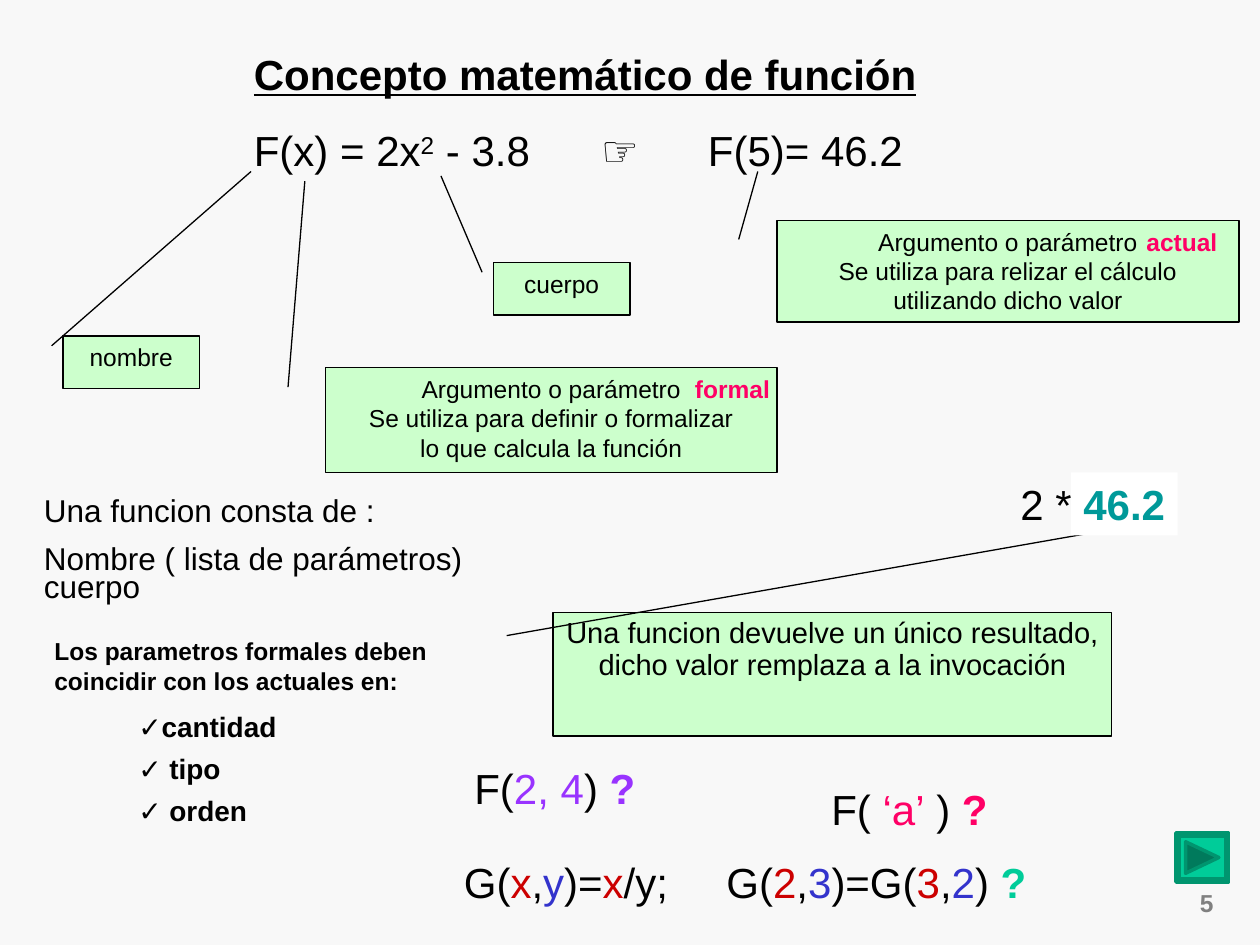
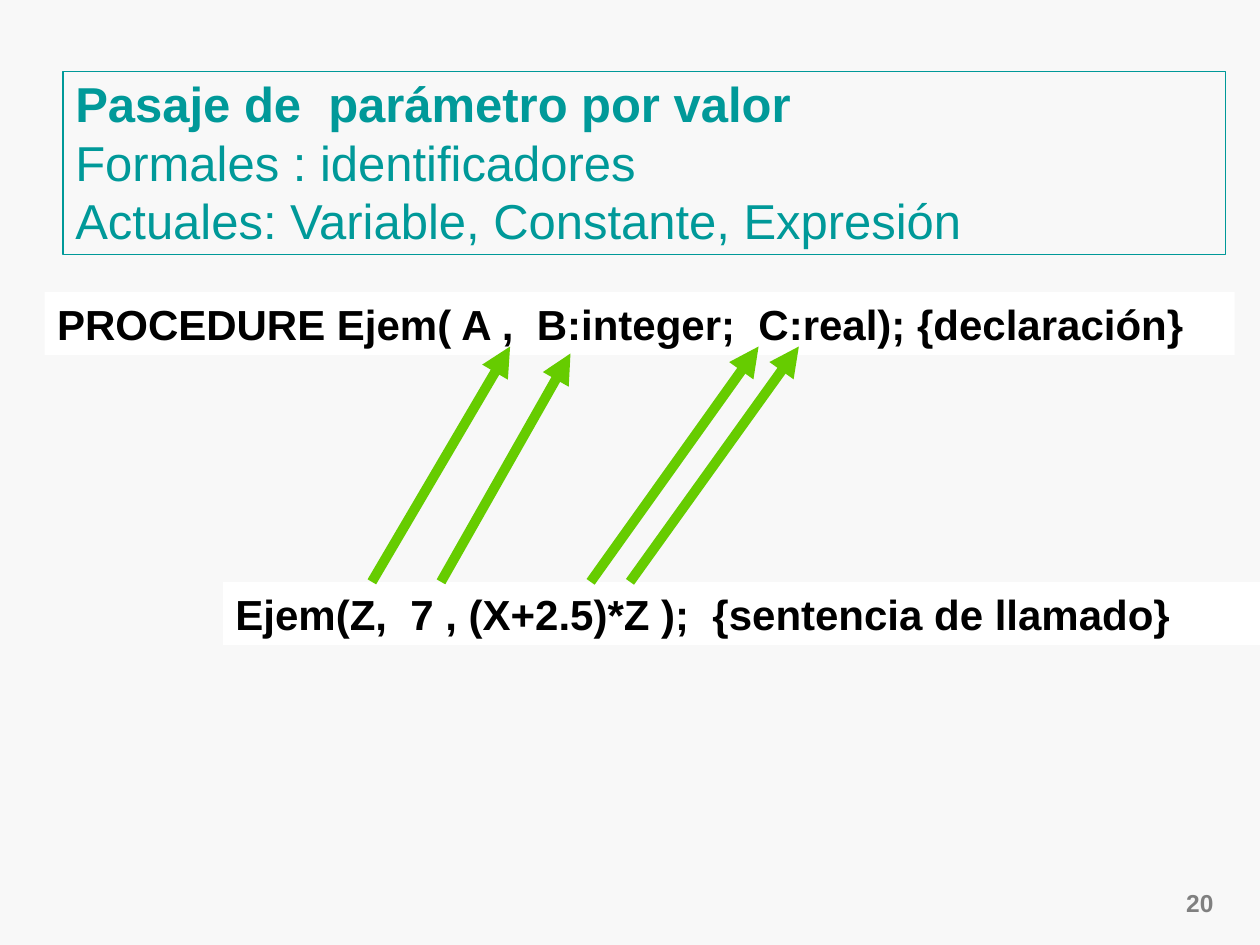
from lxml import etree
from pptx import Presentation
from pptx.dml.color import RGBColor
from pptx.enum import shapes, text
from pptx.oxml.ns import qn
from pptx.util import Pt

FONT = "Arial"
BACKGROUND = RGBColor(0xF8, 0xF8, 0xF8)
BLACK = RGBColor(0, 0, 0)
WHITE = RGBColor(0xFF, 0xFF, 0xFF)
GRAY = RGBColor(0x80, 0x80, 0x80)
MINT = RGBColor(0xCC, 0xFF, 0xCC)
PINK = RGBColor(0xFF, 0, 0x66)
PURPLE = RGBColor(0x99, 0x33, 0xFF)
RED = RGBColor(0xCC, 0, 0)
BLUE = RGBColor(0x33, 0x33, 0xCC)
TEAL = RGBColor(0, 0x99, 0x99)
GREEN = RGBColor(0, 0xCC, 0x99)
DARK_GREEN = RGBColor(0, 0x95, 0x6F)
DEEP_GREEN = RGBColor(0, 0x7A, 0x5C)
ARROW_GREEN = RGBColor(0x66, 0xCC, 0)

CENTER, RIGHT = text.PP_ALIGN.CENTER, text.PP_ALIGN.RIGHT

# A paragraph is a string or a list of runs; a run is a string or (string, format).
X, Y = ("x", dict(color=RED)), ("y", dict(color=BLUE))
HEADING = [
    [("Concepto matemático de función", dict(bold=True, underline=True))],
    ["F(x) = 2x", ("2", dict(baseline=30000)), " - 3.8\t",
     ("☞", dict(bold=True)), "\tF(5)= 46.2"],
]
TWO_ARGUMENTS = [["F(", ("2, 4", dict(color=PURPLE)), ") ",
                  ("?", dict(color=PURPLE, bold=True))]]
CHARACTER_ARGUMENT = [["F( ", ("‘a’", dict(color=PINK)), " ) ",
                       ("?", dict(color=PINK, bold=True))]]
ARGUMENT_ORDER = [[
    "G(", X, ",", Y, ")=", X, "/y;\tG(",
    ("2", dict(color=RED)), ",", ("3", dict(color=BLUE)), ")=G(",
    ("3", dict(color=RED)), ",", ("2", dict(color=BLUE)), ") ",
    ("?", dict(color=GREEN, bold=True))]]
DEFINITION = ["Una funcion consta de :", "Nombre ( lista de parámetros) cuerpo"]
MATCH_RULE = ["Los parametros formales deben coincidir con los actuales en:"]
MATCH_ITEMS = ["✓cantidad", "✓ tipo", "✓ orden"]

# box (left, top, width, height), tip of the leader, paragraphs, format
CALLOUTS = [
    ((186, 210, 258, 60), (174.2, 103.5),
     ["Argumento o parámetro", "Se utiliza para definir o formalizar",
      "lo que calcula la función"], {}),
    ((444, 126, 264, 58), (433, 98),
     ["Argumento o parámetro",
      "Se utiliza para relizar el cálculo utilizando dicho valor"], {}),
    ((36, 192, 78, 30), (143.5, 98), ["nombre"], {}),
    ((282, 150, 78, 30), (252, 100.5), ["cuerpo"], {}),
    ((316, 350, 319, 70.5), (646.5, 300.5),
     ["Una funcion devuelve un único resultado, dicho valor remplaza a la invocación"],
     dict(size=16.6, line_spacing=0.9)),
]
PARAMETER_KINDS = [("actual", (648, 126, 60, 24.5)), ("formal", (390, 210, 60, 24.5))]

VALUE_PASSING = [
    [("Pasaje de  parámetro por valor", dict(bold=True))],
    "Formales : identificadores",
    "Actuales: Variable, Constante, Expresión",
]
CODE_LINES = [
    ("PROCEDURE Ejem( A ,  B:integer;  C:real); {declaración}", (25.5, 167, 680, 36)),
    ("Ejem(Z,  7 , (X+2.5)*Z );  {sentencia de llamado}", (127.5, 332.5, 592.5, 36)),
]
CALL_TOP = 332.5
# x in the call, then the arrow point in the declaration
ARROWS = [(212.5, (291.5, 198)), (252, (326, 202)),
          (337.5, (433.5, 198)), (360, (456.5, 198))]


def write(shape, paragraphs, size=24, color=BLACK, bold=False, underline=False,
          align=None, space_before=0, line_spacing=None, tabs=(), wrap=True,
          inset_top=3.6, anchor=text.MSO_ANCHOR.TOP):
    frame = shape.text_frame
    frame.word_wrap = wrap
    frame.vertical_anchor = anchor
    frame.margin_left = frame.margin_right = Pt(7.2)
    frame.margin_top, frame.margin_bottom = Pt(inset_top), Pt(3.6)
    for index, runs in enumerate(paragraphs):
        paragraph = frame.add_paragraph() if index else frame.paragraphs[0]
        paragraph.alignment = align
        paragraph.space_before = Pt(space_before if index else 0)
        paragraph.line_spacing = line_spacing
        if tabs:
            properties = paragraph._p.get_or_add_pPr()
            tab_list = etree.SubElement(properties, qn("a:tabLst"))
            for position in tabs:
                etree.SubElement(tab_list, qn("a:tab"), pos=str(Pt(position)), algn="l")
        for piece in [runs] if isinstance(runs, str) else runs:
            words, own = (piece, {}) if isinstance(piece, str) else piece
            run = paragraph.add_run()
            run.text = words
            font = run.font
            font.name, font.size = FONT, Pt(size)
            font.bold = own.get("bold", bold)
            font.underline = own.get("underline", underline)
            font.color.rgb = own.get("color", color)
            if "baseline" in own:
                run._r.get_or_add_rPr().set("baseline", str(own["baseline"]))


def paint(shape, fill=None, line=None, width=0.75):
    shape.shadow.inherit = False
    if fill is None:
        shape.fill.background()
    else:
        shape.fill.solid()
        shape.fill.fore_color.rgb = fill
    if line is None:
        shape.line.fill.background()
    else:
        shape.line.color.rgb = line
        shape.line.width = Pt(width)


def add_preset(slide, kind, box, **colors):
    shape = slide.shapes.add_shape(kind, *map(Pt, box))
    paint(shape, **colors)
    return shape


def add_text(slide, box, paragraphs, **style):
    write(slide.shapes.add_textbox(*map(Pt, box)), paragraphs, **style)


def add_panel(slide, box, paragraphs, fill=None, line=None, **style):
    """A rectangle that holds text."""
    panel = add_preset(slide, shapes.MSO_SHAPE.RECTANGLE, box, fill=fill, line=line)
    write(panel, paragraphs, **style)


def add_callout(slide, box, tip, paragraphs, size=14, **style):
    left, top, width, height = box
    shape = add_preset(slide, shapes.MSO_SHAPE.LINE_CALLOUT_1, box, fill=MINT, line=BLACK)
    leader = (0.1875, -0.083, (tip[1] - top) / height, (tip[0] - left) / width)
    for index, value in enumerate(leader):
        shape.adjustments[index] = value
    write(shape, paragraphs, size=size, align=CENTER, **style)


def add_arrow(slide, start, end):
    arrow = slide.shapes.add_connector(
        shapes.MSO_CONNECTOR.STRAIGHT, *map(Pt, start + end))
    arrow.line.color.rgb = ARROW_GREEN
    arrow.line.width = Pt(5.67)
    etree.SubElement(arrow.line._get_or_add_ln(), qn("a:tailEnd"), type="triangle")
    etree.SubElement(arrow._element.spPr, qn("a:effectLst"))


def add_next_button(slide):
    button = add_preset(slide, shapes.MSO_SHAPE.BEVEL, (672, 476, 30, 28),
                        fill=GREEN, line=DARK_GREEN, width=2)
    button.adjustments[0] = 0.0625
    builder = slide.shapes.build_freeform(Pt(677.5), Pt(481))
    builder.add_line_segments([(Pt(696.5), Pt(490)), (Pt(677.5), Pt(499))], close=True)
    paint(builder.convert_to_shape(), fill=DEEP_GREEN, line=DARK_GREEN, width=2)


def new_slide(presentation, number):
    slide = presentation.slides.add_slide(presentation.slide_layouts[6])
    slide.background.fill.solid()
    slide.background.fill.fore_color.rgb = BACKGROUND
    add_text(slide, (654, 504, 46.5, 24.5), [number],
             size=14, color=GRAY, bold=True, align=RIGHT)
    return slide


def build_function_concept(presentation):
    slide = new_slide(presentation, "5")
    add_text(slide, (138, 24, 468, 80), HEADING, space_before=15, tabs=(198.5, 259.5))
    add_text(slide, (468, 444, 114, 36), CHARACTER_ARGUMENT)
    add_text(slide, (264, 432, 114, 36), TWO_ARGUMENTS)
    add_text(slide, (258, 486, 342, 36), ARGUMENT_ORDER, tabs=(150,))
    add_text(slide, (18, 282, 264, 67), DEFINITION,
             size=18, space_before=11.2, line_spacing=0.75)
    add_text(slide, (576, 270, 114, 36), ["2 *"])
    for box, tip, paragraphs, style in CALLOUTS:
        add_callout(slide, box, tip, paragraphs, **style)
    for kind, box in PARAMETER_KINDS:
        add_text(slide, box, [kind], size=14, color=PINK, bold=True)
    add_panel(slide, (612, 270, 61, 36), ["46.2"], fill=WHITE,
              color=TEAL, bold=True, wrap=False)
    add_text(slide, (24, 360, 246, 41), MATCH_RULE, size=14, bold=True)
    for index, item in enumerate(MATCH_ITEMS):
        add_text(slide, (72, 402 + 24 * index, 108, 26.5), [item], size=16, bold=True)
    add_next_button(slide)


def build_value_passing(presentation):
    slide = new_slide(presentation, "20")
    for code, box in CODE_LINES:
        add_panel(slide, box, [code], fill=WHITE, bold=True)
    add_panel(slide, (36, 41, 664.5, 104.5), VALUE_PASSING, line=TEAL, size=28,
              color=TEAL, inset_top=1.5, anchor=text.MSO_ANCHOR.MIDDLE)
    for call_x, point in ARROWS:
        add_arrow(slide, (call_x, CALL_TOP), point)


def main():
    presentation = Presentation()
    presentation.slide_width, presentation.slide_height = Pt(720), Pt(540)
    build_function_concept(presentation)
    build_value_passing(presentation)
    presentation.save("out.pptx")


if __name__ == "__main__":
    main()
